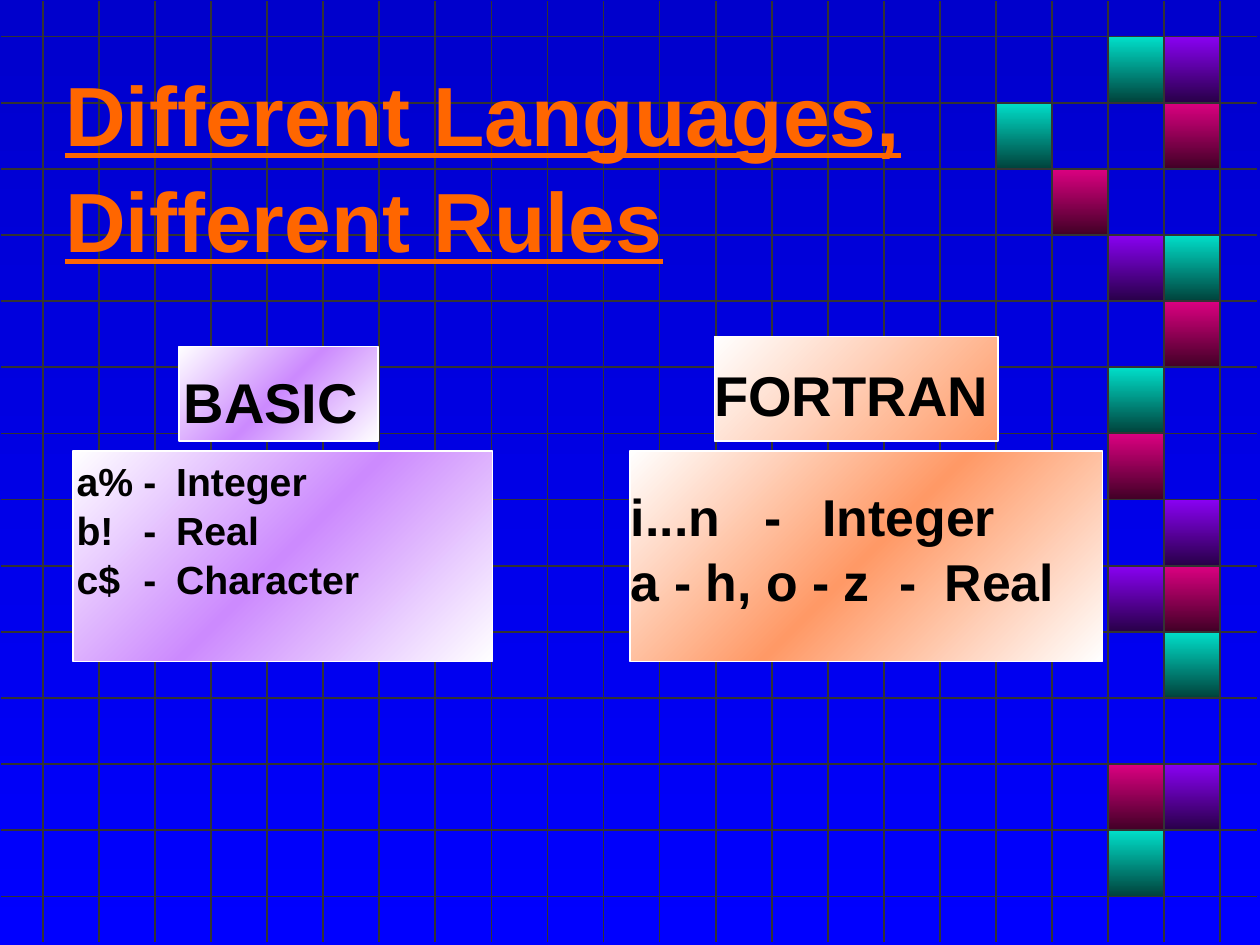
from typing import NamedTuple

from lxml import etree
from pptx import Presentation
from pptx import util as u
from pptx.dml.color import RGBColor
from pptx.enum import shapes, text
from pptx.oxml import ns

COLORS = {
    "sky_top": "0000CC", "sky_bottom": "0000FF", "grid": "333333",
    "teal": "00DFCA", "dark_teal": "00423B",
    "violet": "8901F3", "dark_violet": "280048",
    "pink": "DC0081", "dark_pink": "410026",
    "lilac": "CC8AFE", "peach": "FF9966", "white": "FFFFFF",
    "title": "FF6600", "body": "000000",
}
GRID_LEFT, GRID_TOP = 0.34, 0.29
CELL_WIDTH, CELL_HEIGHT = 0.445, 0.525
GRID_COLUMNS, GRID_ROWS = 22, 14


class Tile(NamedTuple):
    column: int
    row: int
    color: str


class Panel(NamedTuple):
    left: float
    top: float
    width: float
    height: float
    stops: tuple[str, ...]


class Line(NamedTuple):
    words: str
    tabs: tuple[float, ...] = ()


class Label(NamedTuple):
    left: float
    top: float
    width: float
    height: float
    size: float
    lines: tuple[Line, ...]
    color: str = "body"
    underline: bool = False
    anchor: text.MSO_ANCHOR = text.MSO_ANCHOR.TOP
    spacing: float = 1.05


TILES = [
    Tile(19, 0, "teal"), Tile(20, 0, "violet"),
    Tile(17, 1, "teal"), Tile(20, 1, "pink"),
    Tile(18, 2, "pink"),
    Tile(19, 3, "violet"), Tile(20, 3, "teal"),
    Tile(20, 4, "pink"),
    Tile(19, 5, "teal"),
    Tile(19, 6, "pink"),
    Tile(20, 7, "violet"),
    Tile(19, 8, "violet"), Tile(20, 8, "pink"),
    Tile(20, 9, "teal"),
    Tile(19, 11, "pink"), Tile(20, 11, "violet"),
    Tile(19, 12, "teal"),
]
LILAC_BAND = ("white", "lilac", "white")
PANELS = [
    Panel(0.58, 3.58, 3.33, 1.67, LILAC_BAND),
    Panel(5, 3.58, 3.75, 1.67, ("white", "peach", "white")),
    Panel(5.67, 2.67, 2.25, 0.83, ("peach", "white")),
    Panel(1.42, 2.75, 1.58, 0.75, LILAC_BAND),
]
BASIC_TABS = (0.53, 0.79)
LABELS = [
    Label(0.42, 0.67, 9.58, 1.25, 48,
          (Line("Different Languages, Different Rules"),),
          "title", True, text.MSO_ANCHOR.MIDDLE),
    Label(4.91, 3.77, 4, 1.3, 29.6,
          (Line("i...n\t-\tInteger", (1.06, 1.52)),
           Line("a - h, o - z\t-\tReal", (2.13, 2.49)))),
    Label(0.51, 3.56, 3.4, 1.5, 22.4,
          (Line("a%\t-\tInteger", BASIC_TABS),
           Line("b!\t-\tReal", BASIC_TABS),
           Line("c$\t-\tCharacter", BASIC_TABS))),
    Label(1.36, 2.87, 1.8, 0.58, 32, (Line("BASIC"),), spacing=1),
    Label(5.57, 2.81, 2.5, 0.64, 32, (Line("FORTRAN"),), spacing=1),
]


def rgb(name: str) -> RGBColor:
    """Return a named colour."""
    return RGBColor.from_string(COLORS[name])


def paint_gradient(fill, element, stops: tuple[str, ...], angle: float) -> None:
    """Fill with evenly spaced stops, the angle running counterclockwise."""
    fill.gradient()
    fill.gradient_angle = angle
    stop_list = element.find(".//" + ns.qn("a:gsLst"))
    for stop in list(stop_list):
        stop_list.remove(stop)
    for index, name in enumerate(stops):
        position = str(100000 * index // (len(stops) - 1))
        stop = etree.SubElement(stop_list, ns.qn("a:gs"), pos=position)
        etree.SubElement(stop, ns.qn("a:srgbClr"), val=COLORS[name])


def draw_line(slide, left: float, top: float, right: float, bottom: float) -> None:
    """Draw one grid line."""
    connector = slide.shapes.add_connector(
        shapes.MSO_CONNECTOR.STRAIGHT,
        u.Inches(left), u.Inches(top), u.Inches(right), u.Inches(bottom))
    connector.line.color.rgb = rgb("grid")
    connector.line.width = u.Pt(1)
    etree.SubElement(connector._element.spPr, ns.qn("a:effectLst"))


def draw_panel(slide, panel: Panel, outline: str, angle: float) -> None:
    """Draw an outlined rectangle with a gradient."""
    shape = slide.shapes.add_shape(
        shapes.MSO_SHAPE.RECTANGLE, u.Inches(panel.left), u.Inches(panel.top),
        u.Inches(panel.width), u.Inches(panel.height))
    shape.shadow.inherit = False
    paint_gradient(shape.fill, shape._element.spPr, panel.stops, angle)
    shape.line.color.rgb = rgb(outline)
    shape.line.width = u.Pt(1)


def draw_tile(slide, tile: Tile) -> None:
    """Draw a coloured grid cell."""
    panel = Panel(GRID_LEFT + tile.column * CELL_WIDTH,
                  GRID_TOP + tile.row * CELL_HEIGHT,
                  CELL_WIDTH, CELL_HEIGHT, (tile.color, "dark_" + tile.color))
    draw_panel(slide, panel, "grid", 270)


def draw_label(slide, label: Label) -> None:
    """Draw a text box whose columns stand on tab stops."""
    box = slide.shapes.add_textbox(
        u.Inches(label.left), u.Inches(label.top),
        u.Inches(label.width), u.Inches(label.height))
    frame = box.text_frame
    frame.word_wrap = True
    frame.vertical_anchor = label.anchor
    for index, line in enumerate(label.lines):
        paragraph = frame.add_paragraph() if index else frame.paragraphs[0]
        paragraph.line_spacing = label.spacing
        if line.tabs:
            tab_list = etree.SubElement(
                paragraph._p.get_or_add_pPr(), ns.qn("a:tabLst"))
            for tab in line.tabs:
                etree.SubElement(tab_list, ns.qn("a:tab"),
                                 pos=str(u.Inches(tab)), algn="l")
        run = paragraph.add_run()
        run.text = line.words
        run.font.name = "Arial"
        run.font.size = u.Pt(label.size)
        run.font.bold = True
        run.font.underline = label.underline
        run.font.color.rgb = rgb(label.color)


def main() -> None:
    """Build the slide and save it."""
    presentation = Presentation()
    presentation.slide_width = u.Inches(10)
    presentation.slide_height = u.Inches(7.5)
    slide = presentation.slides.add_slide(presentation.slide_layouts[6])
    paint_gradient(slide.background.fill, slide._element,
                   ("sky_top", "sky_bottom"), 270)
    for row in range(GRID_ROWS):
        top = GRID_TOP + row * CELL_HEIGHT
        draw_line(slide, 0.01, top, 9.98, top)
    for column in range(GRID_COLUMNS):
        left = GRID_LEFT + column * CELL_WIDTH
        draw_line(slide, left, 0.01, left, 7.48)
    for tile in TILES:
        draw_tile(slide, tile)
    for panel in PANELS:
        draw_panel(slide, panel, "white", 135)
    for label in LABELS:
        draw_label(slide, label)
    presentation.save("out.pptx")


if __name__ == "__main__":
    main()
